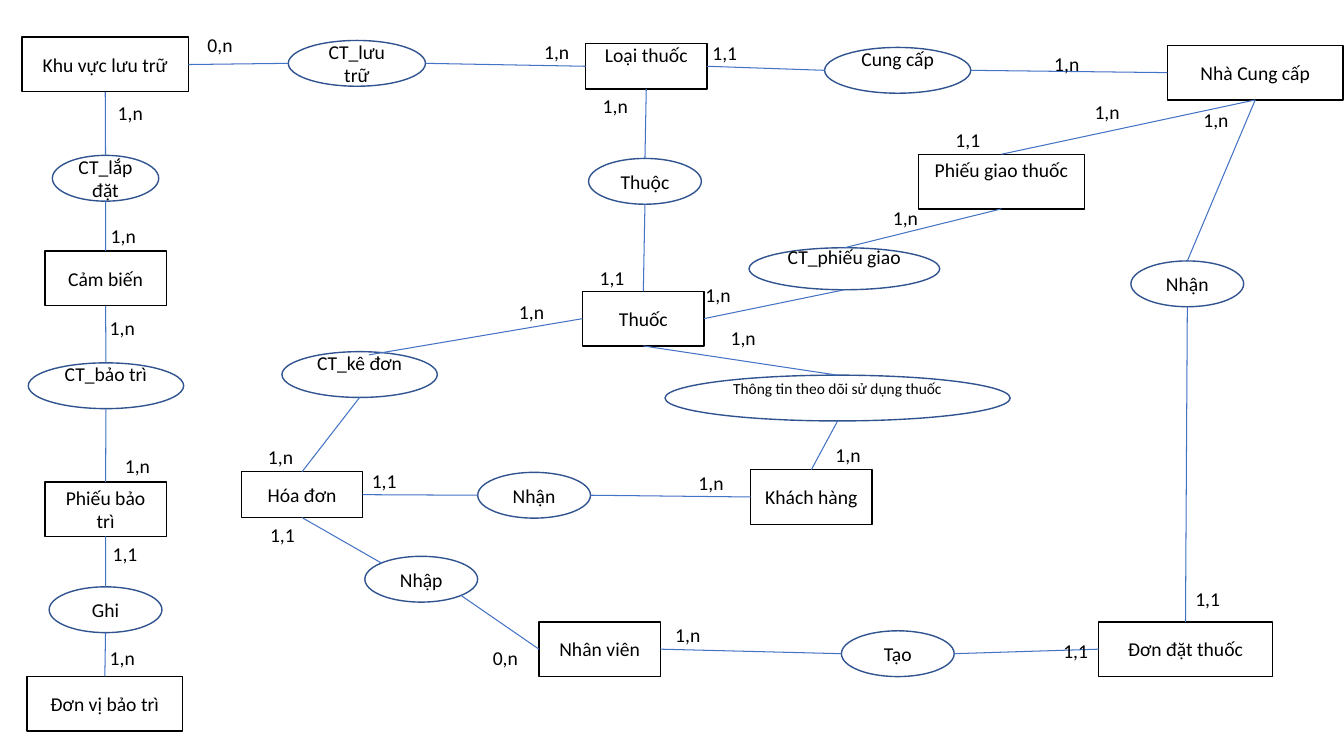
from lxml import etree
from pptx import Presentation
from pptx.dml.color import RGBColor
from pptx.enum.shapes import MSO_CONNECTOR, MSO_SHAPE
from pptx.enum.text import MSO_ANCHOR as Anchor, MSO_AUTO_SIZE as AutoSize, PP_ALIGN as Align
from pptx.oxml.ns import qn
from pptx.util import Pt

BLACK, WHITE, OUTLINE, LINK = "000000", "FFFFFF", "31538F", "4472C4"
FONT = "Calibri"
SIZE = 14
LINE_HEIGHT = 1.22

ENTITIES = {
    "medicine": ("Thuốc", 416.2, 208.1, {}),
    "medicine type": ("Loại thuốc", 418.3, 31, {"height": 32.7, "raised": True}),
    "supplier": ("Nhà Cung cấp", 833.8, 32.4, {"width": 125.6}),
    "sensor": ("Cảm biến", 32.1, 179.3, {}),
    "invoice": ("Hóa đơn", 172.4, 337, {"height": 32.7}),
    "delivery note": ("Phiếu giao thuốc", 655.9, 110.2, {"width": 118.8, "raised": True}),
    "order": ("Đơn đặt thuốc", 784.8, 444.2, {"width": 124}),
    "storage area": ("Khu vực lưu trữ", 15.8, 26.6, {"width": 118.8}),
    "customer": ("Khách hàng", 536.2, 335.5, {}),
    "maintenance note": ("Phiếu bảo trì", 32.1, 344.2, {}),
    "employee": ("Nhân viên", 385, 444.2, {}),
    "maintenance unit": ("Đơn vị bảo trì", 19.4, 483.1, {"width": 111}),
}
RELATIONS = {
    "belongs": ("Thuộc", 420.4, 113.2, {}),
    "stores": ("CT_lưu trữ", 205.9, 28.9, {"width": 98}),
    "installs": ("CT_lắp đặt", 37.4, 111, {"width": 76}),
    "maintains": ("CT_bảo trì", 20.2, 259.2, {"width": 111, "raised": True}),
    "delivers": ("CT_phiếu giao", 535, 177, {"width": 136.2, "height": 30, "raised": True}),
    "supplies": ("Cung cấp", 589, 33.9, {"width": 104.4, "raised": True}),
    "receives order": ("Nhận", 807.8, 186.4, {}),
    "creates": ("Tạo", 601, 450.6, {}),
    "enters": ("Nhập", 260.6, 397.4, {}),
    "prescribes": ("CT_kê đơn", 201.4, 251.2, {"width": 111, "raised": True}),
    "receives invoice": ("Nhận", 341.2, 337.4, {}),
    "tracks": ("Thông tin theo dõi sử dụng thuốc", 475, 268,
               {"width": 246.6, "raised": True, "size": 11}),
    "records": ("Ghi", 35.1, 419.2, {}),
}
SIDES = {
    "top": (0.5, 0), "bottom": (0.5, 1), "left": (0, 0.5), "right": (1, 0.5),
    "top left": (0.15, 0.15), "bottom right": (0.85, 0.85), "near top": (0.56, 0.07),
}
LINKS = [
    ("medicine type", "bottom", "belongs", "top"),
    ("belongs", "bottom", "medicine", "top"),
    ("stores", "left", "storage area", "right"),
    ("medicine type", "left", "stores", "right"),
    ("installs", "bottom", "sensor", "top"),
    ("storage area", "bottom", "installs", "top"),
    ("sensor", "bottom", "maintains", "top"),
    ("maintains", "bottom", "maintenance note", "top"),
    ("supplier", "bottom", "delivery note", "top"),
    ("delivery note", "bottom", "delivers", "top"),
    ("delivers", "bottom", "medicine", "right"),
    ("supplier", "left", "supplies", "right"),
    ("supplies", "left", "medicine type", "right"),
    ("supplier", "bottom", "receives order", "top"),
    ("receives order", "bottom", "order", "top"),
    ("creates", "right", "order", "left"),
    ("employee", "right", "creates", "left"),
    ("enters", "top left", "invoice", "bottom"),
    ("employee", "left", "enters", "bottom right"),
    ("medicine", "left", "prescribes", "near top"),
    ("prescribes", "bottom", "invoice", "top"),
    ("receives invoice", "left", "invoice", "right"),
    ("customer", "left", "receives invoice", "right"),
    ("medicine", "bottom", "tracks", "top"),
    ("tracks", "bottom", "customer", "top"),
    ("maintenance note", "bottom", "records", "top"),
    ("records", "bottom", "maintenance unit", "top"),
]
CARDINALITIES = {
    "0,n": [(141.1, 20.2), (344.9, 457.9)],
    "1,1": [(421.2, 186.5), (846.7, 415.4), (752.4, 452.9), (258.5, 331.2), (73.4, 383.8),
            (501.8, 25.9), (185.8, 370.1), (675.4, 87.8)],
    "1,n": [(423.4, 63.4), (475.2, 441.4), (852.5, 73.4), (491.8, 332.6), (514.8, 229),
            (589.7, 312.5), (496.8, 198.7), (630.7, 143.3), (72, 156.2), (77, 68.4),
            (82.1, 320.4), (71.3, 221.8), (71.3, 457.9), (381.6, 25.2), (745.9, 33.8),
            (363.6, 211), (184.3, 314.6), (774.7, 67.7)],
}


def color(value):
    return RGBColor.from_string(value)


def write_text(shape, text, size=SIZE, align=Align.LEFT, anchor=Anchor.TOP, raised=False):
    frame = shape.text_frame
    frame.word_wrap = True
    frame.vertical_anchor = anchor
    if raised:
        frame.margin_top = 0
        frame.margin_bottom = Pt(round(size * LINE_HEIGHT, 1))
    paragraph = frame.paragraphs[0]
    paragraph.alignment = align
    run = paragraph.add_run()
    run.text = text
    run.font.name = FONT
    run.font.size = Pt(size)
    run.font.color.rgb = color(BLACK)


def add_node(kind, outline, text, left, top, width, height, **text_format):
    shape = slide.shapes.add_shape(kind, Pt(left), Pt(top), Pt(width), Pt(height))
    shape.shadow.inherit = False
    shape.fill.solid()
    shape.fill.fore_color.rgb = color(WHITE)
    shape.line.color.rgb = color(outline)
    shape.line.width = Pt(1)
    write_text(shape, text, align=Align.CENTER, anchor=Anchor.MIDDLE, **text_format)
    return shape


def side_point(shape, side):
    across, down = SIDES[side]
    return int(shape.left + across * shape.width), int(shape.top + down * shape.height)


def add_link(start, end):
    connector = slide.shapes.add_connector(MSO_CONNECTOR.STRAIGHT, *start, *end)
    connector.line.color.rgb = color(LINK)
    connector.line.width = Pt(0.75)
    etree.SubElement(connector._element.spPr, qn("a:effectLst"))


def add_cardinality(text, left, top):
    box = slide.shapes.add_textbox(Pt(left), Pt(top), Pt(35.3), Pt(24.3))
    write_text(box, text)
    box.text_frame.auto_size = AutoSize.SHAPE_TO_FIT_TEXT


presentation = Presentation()
presentation.slide_width = Pt(960)
presentation.slide_height = Pt(540)
slide = presentation.slides.add_slide(presentation.slide_layouts[6])

nodes = {}
for group, kind, outline, usual in (
    (ENTITIES, MSO_SHAPE.RECTANGLE, BLACK, {"width": 86.7, "height": 39}),
    (RELATIONS, MSO_SHAPE.OVAL, OUTLINE, {"width": 80.6, "height": 32.7}),
):
    for name, (text, left, top, special) in group.items():
        nodes[name] = add_node(kind, outline, text, left, top, **{**usual, **special})

for start, start_side, end, end_side in LINKS:
    add_link(side_point(nodes[start], start_side), side_point(nodes[end], end_side))

for text, places in CARDINALITIES.items():
    for left, top in places:
        add_cardinality(text, left, top)

presentation.save("out.pptx")
